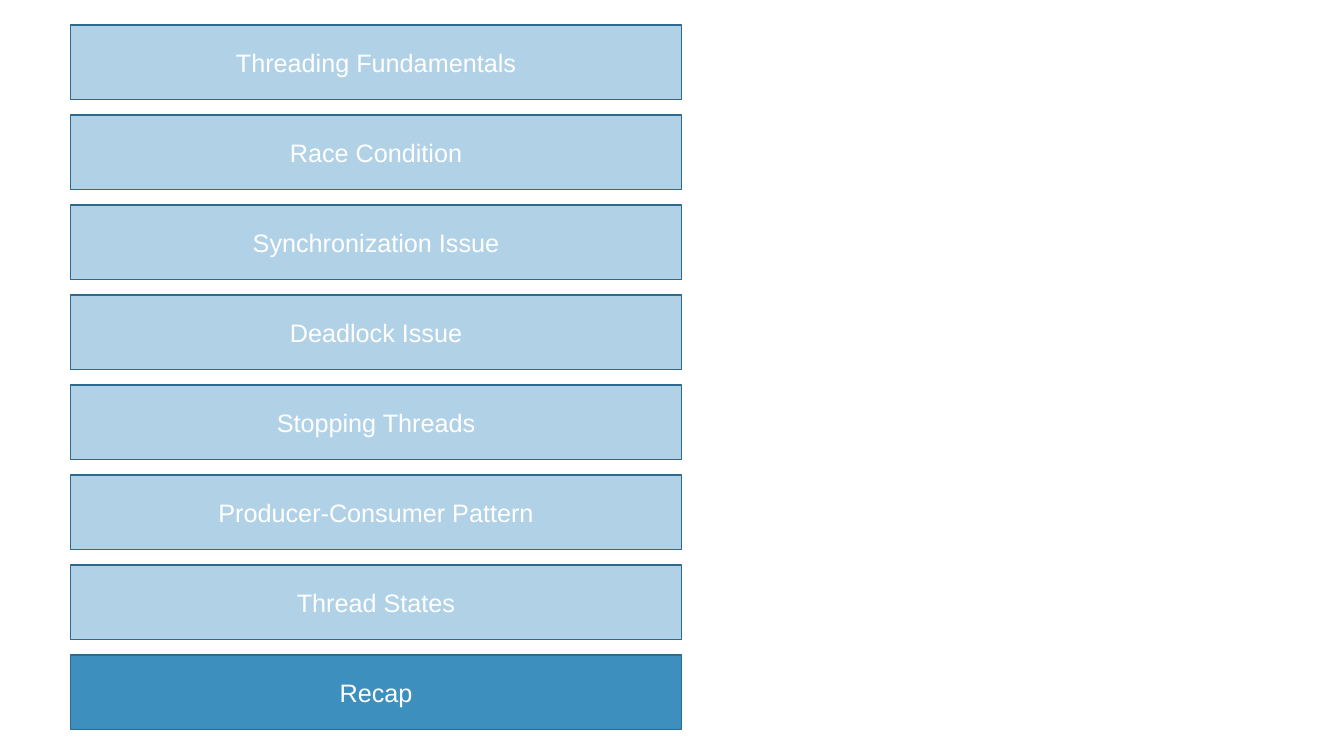
import pptx
import pptx.dml.color
import pptx.enum.shapes
import pptx.enum.text
import pptx.util
from dataclasses import dataclass

Inches = pptx.util.Inches
RGB = pptx.dml.color.RGBColor.from_string


@dataclass(frozen=True)
class Theme:
    font: str = "Arial"
    size: int = 18
    line_width: float = 1
    text: str = "FFFFFF"
    line: str = "2D6A8D"
    muted: str = "B1D2E6"
    active: str = "3D8FBE"


class AgendaSlide:
    """Holds the theme and the slide being built."""

    def __init__(self, slide, theme):
        self.s = slide
        self.theme = theme

    def bar(self, text, left, top, width, height, active=False):
        t = self.theme
        sp = self.s.shapes.add_shape(
            pptx.enum.shapes.MSO_SHAPE.RECTANGLE,
            Inches(left), Inches(top), Inches(width), Inches(height))
        sp.shadow.inherit = False
        sp.fill.solid()
        sp.fill.fore_color.rgb = RGB(t.active if active else t.muted)
        sp.line.color.rgb = RGB(t.line)
        sp.line.width = pptx.util.Pt(t.line_width)

        # Centred label
        tf = sp.text_frame
        tf.word_wrap = True
        tf.vertical_anchor = pptx.enum.text.MSO_ANCHOR.MIDDLE
        p = tf.paragraphs[0]
        p.text = text
        p.alignment = pptx.enum.text.PP_ALIGN.CENTER
        p.font.name = t.font
        p.font.size = pptx.util.Pt(t.size)
        p.font.color.rgb = RGB(t.text)


TOPICS = [
    "Threading Fundamentals",
    "Race Condition",
    "Synchronization Issue",
    "Deadlock Issue",
    "Stopping Threads",
    "Producer-Consumer Pattern",
    "Thread States",
    "Recap",
]
CURRENT = "Recap"
LEFT, WIDTH, HEIGHT = 0.7, 6.06, 0.74
FIRST_TOP, LAST_TOP = 0.25, 6.5


def main():
    prs = pptx.Presentation()
    prs.slide_width, prs.slide_height = Inches(13.33), Inches(7.5)
    agenda = AgendaSlide(prs.slides.add_slide(prs.slide_layouts[6]), Theme())

    # Agenda bars, evenly spaced, with the current topic highlighted
    pitch = (LAST_TOP - FIRST_TOP) / (len(TOPICS) - 1)
    for i, topic in enumerate(TOPICS):
        agenda.bar(topic, LEFT, FIRST_TOP + i * pitch, WIDTH, HEIGHT,
                   active=topic == CURRENT)

    prs.save("out.pptx")


if __name__ == "__main__":
    main()
